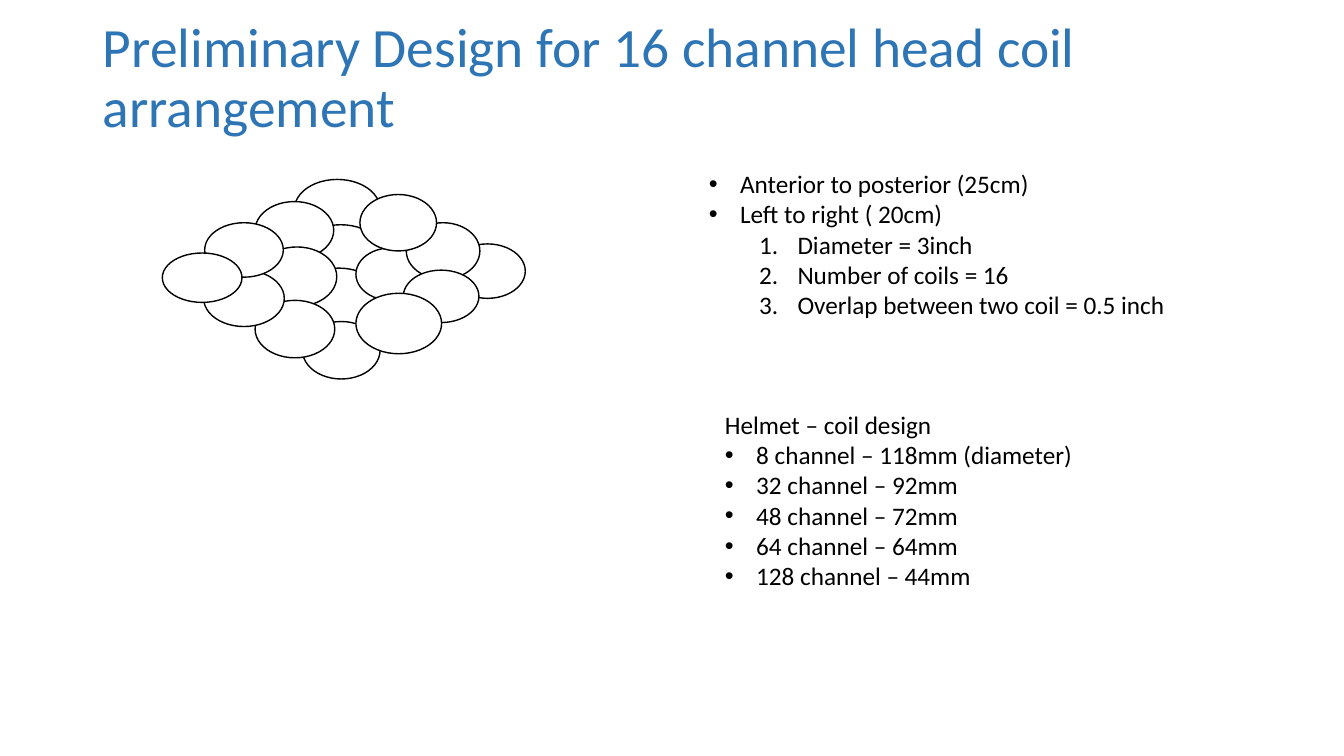
from lxml import etree
from pptx import Presentation
from pptx.dml.color import RGBColor
from pptx.enum import shapes, text
from pptx.oxml import ns
from pptx.util import Inches, Pt

BLUE = RGBColor(0x2E, 0x75, 0xB6)
BLACK = RGBColor(0, 0, 0)
WHITE = RGBColor(0xFF, 0xFF, 0xFF)
FONT = "Calibri"

TITLE = "Preliminary Design for 16 channel head coil arrangement"
TITLE_BOX = (0.92, 0.4, 11.7, 1.37)

COILS = [
    (2.92, 1.78, 0.85, 0.59), (2.95, 2.23, 0.86, 0.6),
    (2.92, 2.66, 0.88, 0.62), (3, 3.19, 0.77, 0.57),
    (3.53, 2.46, 0.69, 0.52), (4.46, 2.42, 0.75, 0.54),
    (2.53, 2, 0.78, 0.57), (2.55, 2.45, 0.79, 0.59),
    (2.53, 2.98, 0.79, 0.57), (2.02, 2.68, 0.8, 0.56),
    (2.03, 2.21, 0.78, 0.54), (1.61, 2.51, 0.79, 0.49),
    (4.03, 2.21, 0.73, 0.56), (4, 2.68, 0.75, 0.52),
    (3.53, 2.91, 0.85, 0.6), (3.57, 1.93, 0.76, 0.56),
]

STYLES = {
    "heading": (0, 0, 0, "buNone", {}),
    "bullet": (0, 0.31, -0.31, "buChar", {"char": "•"}),
    "inner bullet": (1, 0.81, -0.31, "buChar", {"char": "•"}),
    "number": (2, 1.38, -0.38, "buAutoNum", {"type": "arabicPeriod"}),
}

LISTS = [
    ((6.43, 1.62, 5.68, 1.62), [
        ("inner bullet", "Anterior to posterior (25cm)"),
        ("inner bullet", "Left to right ( 20cm)"),
        ("number", "Diameter = 3inch"),
        ("number", "Number of coils = 16"),
        ("number", "Overlap between two coil = 0.5 inch"),
    ]),
    ((7.09, 4.01, 3.69, 1.92), [
        ("heading", "Helmet – coil design"),
        ("bullet", "8 channel – 118mm (diameter)"),
        ("bullet", "32 channel – 92mm"),
        ("bullet", "48 channel – 72mm"),
        ("bullet", "64 channel – 64mm"),
        ("bullet", "128 channel – 44mm"),
    ]),
]


def place(shape, box):
    shape.left, shape.top, shape.width, shape.height = map(Inches, box)


def set_font(para, size, color):
    para.font.name = FONT
    para.font.size = Pt(size)
    para.font.color.rgb = color


def set_bullet(para, style):
    level, margin, indent, tag, attributes = STYLES[style]
    para.level = level
    properties = para._p.get_or_add_pPr()
    properties.set("marL", str(Inches(margin)))
    properties.set("indent", str(Inches(indent)))
    if tag == "buChar":
        etree.SubElement(properties, ns.qn("a:buFont"), typeface="Arial")
    etree.SubElement(properties, ns.qn("a:" + tag), **attributes)


def fill_title(title):
    place(title, TITLE_BOX)
    frame = title.text_frame
    frame.text = TITLE
    frame.auto_size = text.MSO_AUTO_SIZE.NONE
    frame.vertical_anchor = text.MSO_ANCHOR.MIDDLE
    frame.margin_bottom = Inches(0.65)
    para = frame.paragraphs[0]
    para.alignment = text.PP_ALIGN.LEFT
    para.line_spacing = 0.9
    set_font(para, 39.6, BLUE)


def fill_list(body, box, items):
    place(body, box)
    frame = body.text_frame
    frame.auto_size = text.MSO_AUTO_SIZE.SHAPE_TO_FIT_TEXT
    frame.vertical_anchor = text.MSO_ANCHOR.TOP
    frame.text = "\n".join(line for style, line in items)
    for para, (style, line) in zip(frame.paragraphs, items):
        set_bullet(para, style)
        para.space_before = Pt(0)
        set_font(para, 18, BLACK)


def add_coil(page, box):
    coil = page.shapes.add_shape(shapes.MSO_SHAPE.OVAL, *map(Inches, box))
    coil.shadow.inherit = False
    coil.fill.solid()
    coil.fill.fore_color.rgb = WHITE
    coil.line.color.rgb = BLACK
    coil.line.width = Pt(1)


def main():
    deck = Presentation()
    deck.slide_width = Inches(13.33)
    deck.slide_height = Inches(7.5)
    page = deck.slides.add_slide(deck.slide_layouts.get_by_name("Two Content"))
    fill_title(page.shapes.title)
    for box in COILS:
        add_coil(page, box)
    for index, (box, items) in enumerate(LISTS, start=1):
        fill_list(page.placeholders[index], box, items)
    deck.save("out.pptx")


if __name__ == "__main__":
    main()
